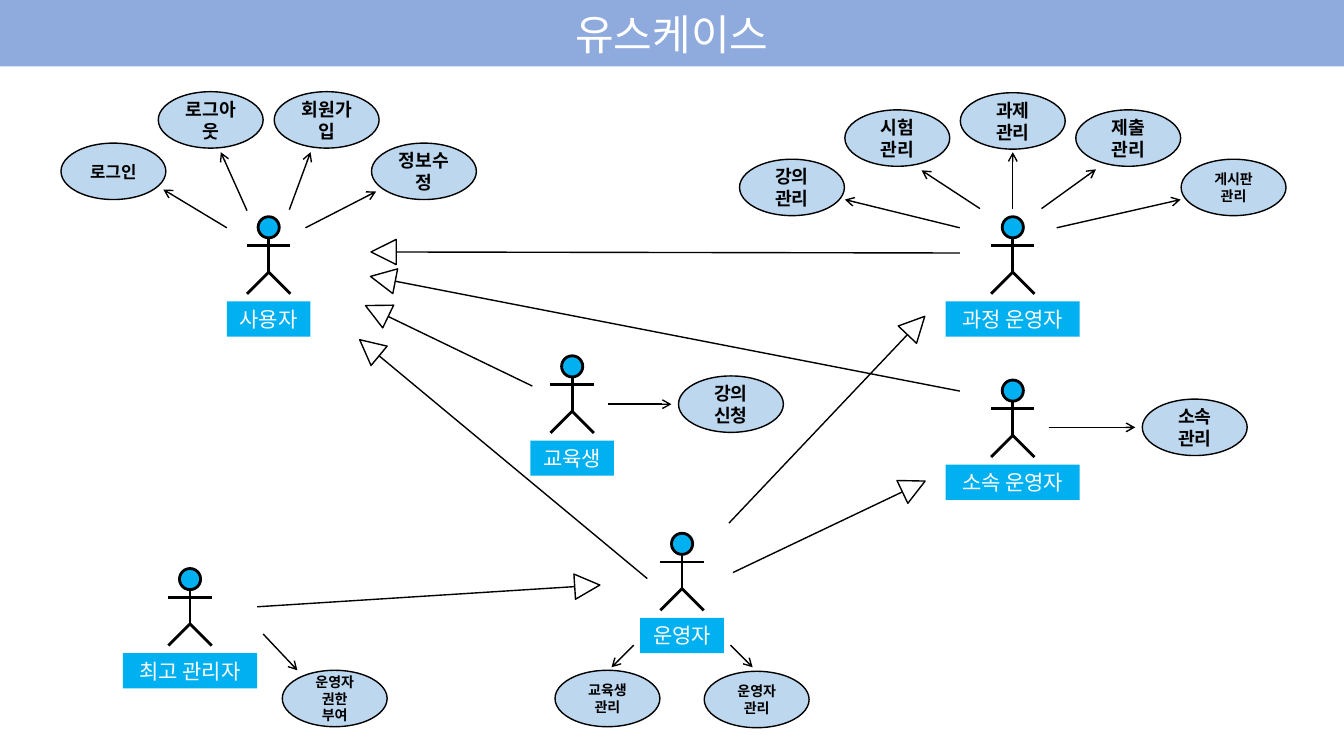
from dataclasses import dataclass
from math import atan2, cos, degrees, sin

from lxml.etree import SubElement
from pptx import Presentation
from pptx.dml.color import RGBColor
from pptx.enum.shapes import MSO_CONNECTOR, MSO_SHAPE
from pptx.enum.text import MSO_ANCHOR, MSO_AUTO_SIZE, PP_ALIGN
from pptx.oxml.ns import qn
from pptx.util import Inches, Pt


@dataclass(frozen=True)
class Theme:
    font: str = "Noto Sans CJK KR"
    banner: str = "8FAADC"
    accent: str = "00B0F0"
    case: str = "BDD7EE"
    ink: str = "000000"
    paper: str = "FFFFFF"
    title_size: int = 30
    label_size: int = 15
    case_size: int = 13
    login_size: int = 12
    small_size: int = 10
    thin: int = 1
    thick: int = 2


@dataclass(frozen=True)
class Box:
    left: float
    top: float
    width: float
    height: float

    @property
    def center(self):
        return self.left + self.width / 2


@dataclass(frozen=True)
class UseCase:
    text: str
    center: tuple  # centre, arrow start and arrow tip, from the top of the actor's head
    start: tuple
    tip: tuple
    size: int = Theme.case_size


THEME = Theme()
COLUMNS, ROWS = 133.3, 75  # square grid cells, ten to the inch
CASE_WIDTH, CASE_HEIGHT = 10.4, 5.6
TRIANGLE = 2.5
FIGURE_HEIGHT = 11.9


def cells(count):
    return Inches(count / 10)


def color(value):
    return RGBColor.from_string(value)


# Basic parts
def add_text(shape, text, size, ink=THEME.ink, bold=False):
    frame = shape.text_frame
    frame.word_wrap = True
    frame.vertical_anchor = MSO_ANCHOR.MIDDLE
    para = frame.paragraphs[0]
    para.text = text
    para.alignment = PP_ALIGN.CENTER
    for span in para.runs:
        span.font.size = Pt(size)
        span.font.bold = bold
        span.font.color.rgb = color(ink)
        span.font.name = THEME.font
        SubElement(span._r.get_or_add_rPr(), qn("a:ea")).set("typeface", THEME.font)
    return frame


def add_part(page, kind, box, fill=None, weight=None):
    shape = page.shapes.add_shape(
        kind, cells(box.left), cells(box.top), cells(box.width), cells(box.height))
    shape.shadow.inherit = False
    if fill:
        shape.fill.solid()
        shape.fill.fore_color.rgb = color(fill)
    else:
        shape.fill.background()
    if weight:
        shape.line.color.rgb = color(THEME.ink)
        shape.line.width = Pt(weight)
    else:
        shape.line.fill.background()
    return shape


def add_line(page, start, end, weight=THEME.thin, arrow=False):
    line = page.shapes.add_connector(
        MSO_CONNECTOR.STRAIGHT, *(cells(value) for value in (*start, *end)))
    line.line.color.rgb = color(THEME.ink)
    line.line.width = Pt(weight)
    properties = line.element.spPr
    if arrow:
        SubElement(properties.find(qn("a:ln")), qn("a:tailEnd")).set("type", "arrow")
    SubElement(properties, qn("a:effectLst"))


# Title banner
def add_banner(page, box, text):
    banner = add_part(page, MSO_SHAPE.RECTANGLE, box, THEME.banner)
    add_text(banner, text, THEME.title_size, THEME.paper)


# Stick figure above its name label
def add_actor(page, box, name):
    def spot(across, down):
        return box.center + across, box.top + down

    head = Box(box.center - 1.05, box.top, 2.1, 2.1)
    add_part(page, MSO_SHAPE.OVAL, head, THEME.accent, THEME.thick)
    hip = spot(0, 5.5)
    limbs = [(spot(-2.15, 2.85), spot(2.15, 2.85)), (spot(0, 2.1), hip),
             (hip, spot(-2.15, 7.65)), (hip, spot(2.15, 7.65))]
    for start, end in limbs:
        add_line(page, start, end, THEME.thick)
    label_box = Box(box.left, box.top + 8.4, box.width, box.height - 8.4)
    label = add_part(page, MSO_SHAPE.RECTANGLE, label_box, THEME.accent)
    frame = add_text(label, name, THEME.label_size, THEME.paper)
    frame.word_wrap = False
    frame.auto_size = MSO_AUTO_SIZE.SHAPE_TO_FIT_TEXT


# Actor with the use cases around it
def add_actor_region(page, box, name, cases):
    def place(offset):
        return box.center + offset[0], box.top + offset[1]

    add_actor(page, box, name)
    for case in cases:
        across, down = place(case.center)
        oval = Box(across - CASE_WIDTH / 2, down - CASE_HEIGHT / 2, CASE_WIDTH, CASE_HEIGHT)
        add_text(add_part(page, MSO_SHAPE.OVAL, oval, THEME.case, THEME.thin),
                 case.text, case.size, bold=True)
        add_line(page, place(case.start), place(case.tip), arrow=True)


# Line ending in a hollow triangle that points along it
def add_generalization(page, start, end):
    angle = atan2(end[1] - start[1], end[0] - start[0])
    middle = (end[0] + cos(angle) * TRIANGLE / 2, end[1] + sin(angle) * TRIANGLE / 2)
    box = Box(middle[0] - TRIANGLE / 2, middle[1] - TRIANGLE / 2, TRIANGLE, TRIANGLE)
    add_line(page, start, end)
    triangle = add_part(page, MSO_SHAPE.ISOSCELES_TRIANGLE, box, weight=THEME.thin)
    triangle.rotation = degrees(angle) + 90


SMALL = THEME.small_size
NARROW, WIDE = 8.3, 13.3
# Name, left, top, label width, use cases
ACTORS = [
    ("교육생", 52.6, 35.3, NARROW, [
        UseCase("강의 신청", (15.75, 4.8), (3.55, 4.8), (9.85, 4.8))]),
    ("사용자", 22.5, 21.5, NARROW, [
        UseCase("로그인", (-15.4, -4.5), (-4.15, 1.1), (-10.45, -2.7), THEME.login_size),
        UseCase("로그아웃", (-5.75, -9.6), (-2.15, -0.6), (-4.75, -6.4)),
        UseCase("회원가입", (5.75, -9.6), (2.05, -0.7), (4.15, -6.4)),
        UseCase("정보수정", (15.4, -4.5), (3.65, 1.1), (10.65, -2.5))]),
    ("최고 관리자", 12.2, 56.4, WIDE, [
        UseCase("운영자\v권한\v부여", (14.35, 12.9), (7.25, 6.5), (10.65, 10.1), SMALL)]),
    ("소속 운영자", 93.8, 37.7, WIDE, [
        UseCase("소속 관리", (18.05, 4.7), (3.55, 4.7), (12.15, 4.7))]),
    ("운영자", 63.5, 52.9, NARROW, [
        UseCase("교육생 관리", (-7.4, 16.4), (-4.8, 11.1), (-7, 13.3), SMALL),
        UseCase("운영자 관리", (7.4, 16.5), (4.8, 11.1), (7, 13.3), SMALL)]),
    ("과정 운영자", 93.8, 21.5, WIDE, [
        UseCase("강의 관리", (-21.9, -2.9), (-5.25, 1.1), (-16.65, -1.7)),
        UseCase("시험 관리", (-11.45, -7.8), (-3.25, -0.8), (-9.05, -4.6)),
        UseCase("과제 관리", (0, -9.5), (0, -0.8), (0, -6.4)),
        UseCase("제출 관리", (11.45, -7.8), (2.85, -0.8), (8.25, -4.7)),
        UseCase("게시판 관리", (21.9, -2.9), (4.35, 1.1), (16.65, -1.7), SMALL)]),
]
# From the special actor to the base of the triangle at the general one
GENERALIZATIONS = [
    ((52.8, 38.3), (38.5, 31.4)),
    ((95.2, 25.1), (39.3, 25)),
    ((95.2, 38.8), (39.2, 27.9)),
    ((64.2, 57.4), (37.6, 35.3)),
    ((25.5, 60.2), (57, 58.2)),
    ((72.3, 51.9), (90, 33.2)),
    ((72.7, 56.8), (89.5, 48.8)),
]


def add_use_case_page(deck):
    page = deck.slides.add_slide(deck.slide_layouts[6])
    add_banner(page, Box(0, 0, COLUMNS, 6.6), "유스케이스")
    for name, left, top, width, cases in ACTORS:
        add_actor_region(page, Box(left, top, width, FIGURE_HEIGHT), name, cases)
    for start, end in GENERALIZATIONS:
        add_generalization(page, start, end)


deck = Presentation()
deck.slide_width, deck.slide_height = cells(COLUMNS), cells(ROWS)
add_use_case_page(deck)
deck.save("out.pptx")
